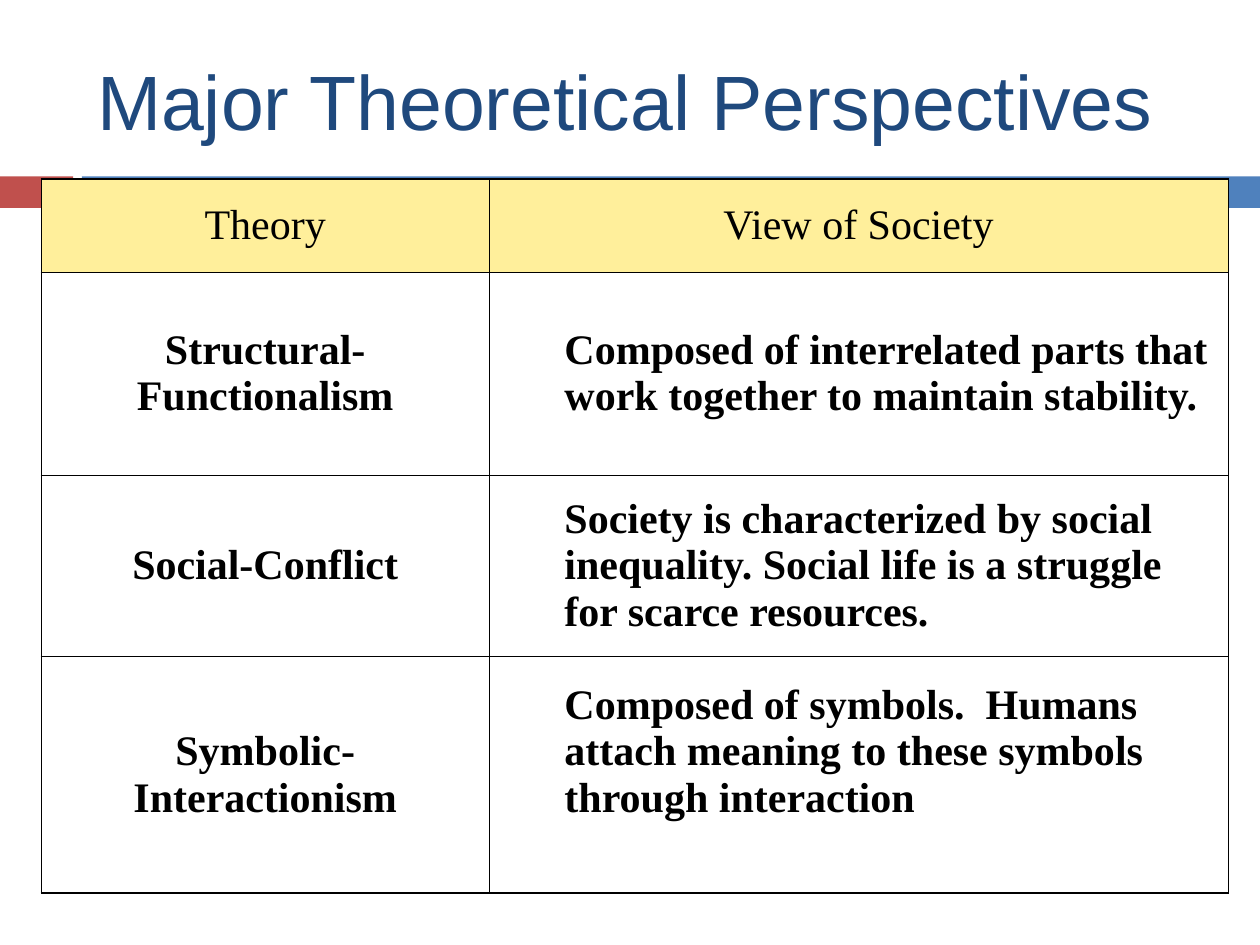
from typing import NamedTuple

from lxml.etree import SubElement
from pptx import Presentation
from pptx.dml.color import RGBColor
from pptx.enum.shapes import MSO_SHAPE as Preset
from pptx.enum.text import MSO_ANCHOR as Anchor, PP_ALIGN as Align
from pptx.oxml.ns import qn
from pptx.util import Inches, Pt

WIDTH, HEIGHT = 10, 7.5
BAR_TOP, BAR_HEIGHT = 1.4, 0.25
COLUMNS = (3.55, 5.87)
THIN, THICK = 0.45, 1.08


class Bar(NamedTuple):
    left: float
    right: float
    color: str


class Theory(NamedTuple):
    name: str
    view: str
    height: float
    view_bottom: float = 0.05


BARS = (Bar(0, 0.58, "C0504D"), Bar(0.65, WIDTH, "4F81BD"))
HEADER = Theory("Theory", "View of Society", 0.74)
THEORIES = (
    Theory("Structural- Functionalism",
           "Composed of interrelated parts that work together to maintain stability.", 1.61),
    Theory("Social-Conflict",
           "Society is characterized by social inequality. "
           "Social life is a struggle for scarce resources.", 1.44),
    Theory("Symbolic-Interactionism",
           "Composed of symbols.  Humans attach meaning to these symbols "
           "through interaction", 1.88, view_bottom=0.42),
)


def rgb(color: str) -> RGBColor:
    return RGBColor.from_string(color)


def write(frame, text: str, font: str, size: float, color: str,
          align: Align = Align.LEFT, bold: bool = False) -> None:
    para = frame.paragraphs[0]
    para.alignment = align
    span = para.add_run()
    span.text = text
    span.font.name, span.font.size, span.font.bold = font, Pt(size), bold
    span.font.color.rgb = rgb(color)


def draw_bar(page, bar: Bar) -> None:
    box = page.shapes.add_shape(Preset.RECTANGLE, Inches(bar.left), Inches(BAR_TOP),
                                Inches(bar.right - bar.left), Inches(BAR_HEIGHT))
    box.shadow.inherit = False
    box.fill.solid()
    box.fill.fore_color.rgb = rgb(bar.color)
    box.line.fill.background()


def set_borders(cell, left: float, right: float, top: float, bottom: float) -> None:
    properties = cell._tc.get_or_add_tcPr()
    for side, width in zip("LRTB", (left, right, top, bottom)):
        line = SubElement(properties, qn(f"a:ln{side}"), w=str(Pt(width)))
        fill = SubElement(line, qn("a:solidFill"))
        SubElement(fill, qn("a:srgbClr"), val="000000")


def draw_table(page, rows: tuple[Theory, ...]) -> None:
    frame = page.shapes.add_table(
        len(rows), len(COLUMNS), Inches(0.33), Inches(1.42),
        Inches(sum(COLUMNS)), Inches(sum(row.height for row in rows)))
    table = frame.table
    table.first_row = table.horz_banding = False
    for column, width in zip(table.columns, COLUMNS):
        column.width = Inches(width)

    for index, row in enumerate(rows):
        table.rows[index].height = Inches(row.height)
        is_header, is_last = index == 0, index == len(rows) - 1
        for position, text in enumerate((row.name, row.view)):
            cell = table.cell(index, position)
            is_view = position == 1
            indented = is_view and not is_header
            # Borders: thick outside, thin inside
            set_borders(cell, THIN if is_view else THICK, THICK if is_view else THIN,
                        THICK if is_header else THIN, THICK if is_last else THIN)
            if is_header:
                cell.fill.solid()
                cell.fill.fore_color.rgb = rgb("FFEF9B")
            else:
                cell.fill.background()
            # Text
            cell.vertical_anchor = Anchor.MIDDLE
            cell.margin_left = Inches(0.6 if indented else 0.1)
            cell.margin_right = Inches(0.1)
            cell.margin_top = Inches(0.05)
            cell.margin_bottom = Inches(row.view_bottom if is_view else 0.05)
            write(cell.text_frame, text, "Times New Roman", 24, "000000",
                  Align.LEFT if indented else Align.CENTER, bold=not is_header)


def main() -> None:
    deck = Presentation()
    deck.slide_width, deck.slide_height = Inches(WIDTH), Inches(HEIGHT)
    page = deck.slides.add_slide(deck.slide_layouts.get_by_name("Title Only"))

    # Title
    title = page.shapes.title
    title.left, title.top = Inches(0.67), Inches(0.25)
    title.width, title.height = Inches(8.92), Inches(1.08)
    title.text_frame.vertical_anchor = Anchor.MIDDLE
    write(title.text_frame, "Major Theoretical Perspectives", "Arial", 44, "1F497D")

    # Colour band, then the table over it
    for bar in BARS:
        draw_bar(page, bar)
    draw_table(page, (HEADER, *THEORIES))

    deck.save("out.pptx")


if __name__ == "__main__":
    main()
